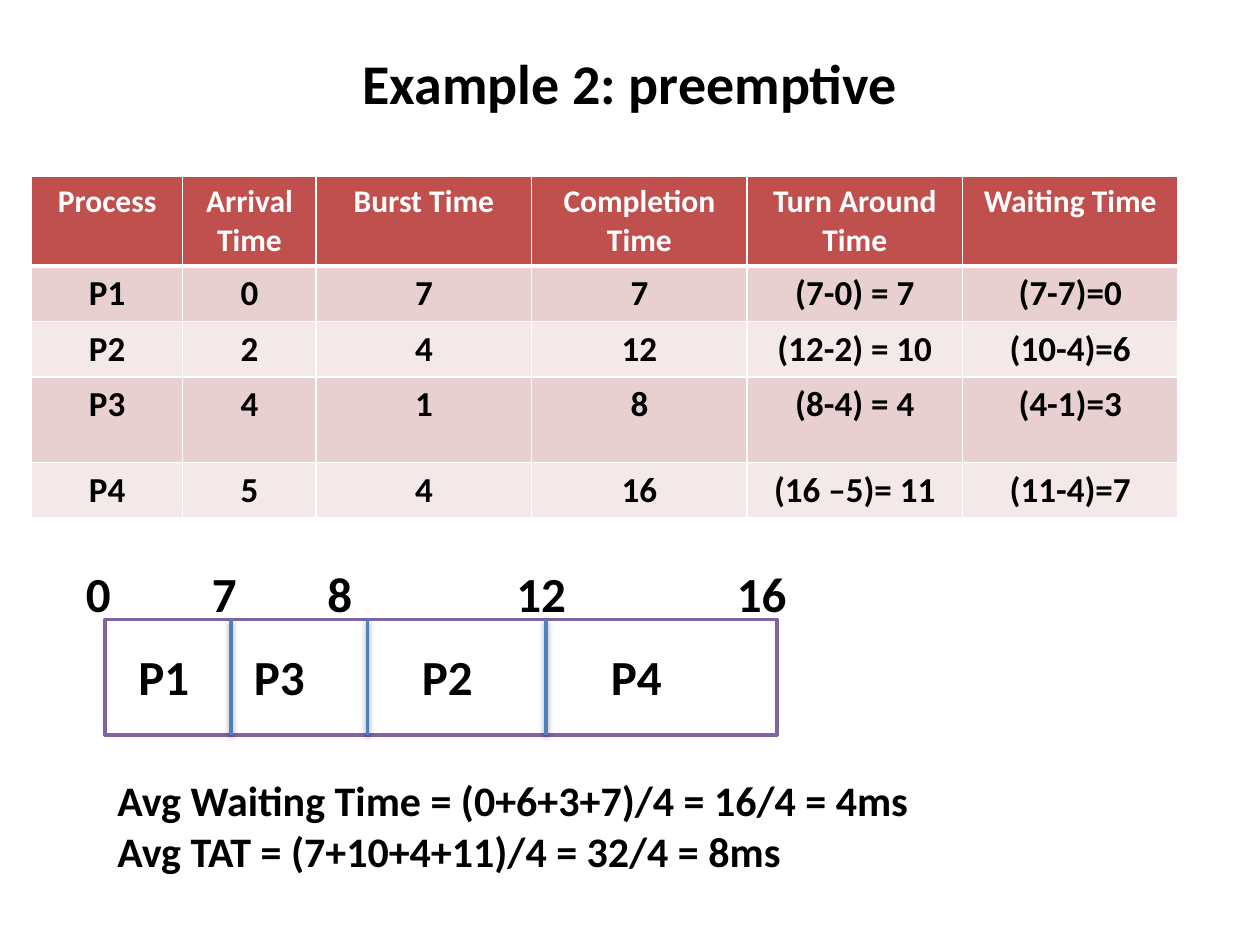
from lxml import etree
from pptx import Presentation
from pptx.dml.color import RGBColor
from pptx.enum import shapes, text
from pptx.oxml import parse_xml
from pptx.oxml.ns import nsdecls
from pptx.util import Inches, Pt

BLACK = RGBColor(0x00, 0x00, 0x00)
WHITE = RGBColor(0xFF, 0xFF, 0xFF)
RED = RGBColor(0xC0, 0x50, 0x4D)
ROSE = RGBColor(0xE8, 0xD0, 0xD0)
PALE_ROSE = RGBColor(0xF4, 0xE9, 0xE9)
PURPLE = RGBColor(0x80, 0x64, 0xA2)
BLUE = RGBColor(0x4F, 0x81, 0xBD)

SCHEDULE = [
    ["Process", "Arrival Time", "Burst Time", "Completion Time", "Turn Around Time", "Waiting Time"],
    ["P1", "0", "7", "7", "(7-0) = 7", "(7-7)=0"],
    ["P2", "2", "4", "12", "(12-2) = 10", "(10-4)=6"],
    ["P3", "4", "1", "8", "(8-4) = 4", "(4-1)=3"],
    ["P4", "5", "4", "16", "(16 –5)= 11", "(11-4)=7"],
]
AVERAGES = "Avg Waiting Time = (0+6+3+7)/4 = 16/4 = 4ms\nAvg TAT = (7+10+4+11)/4 = 32/4 = 8ms"


class Board:
    """A slide on a grid of 120 columns by 90 rows, twelve to the inch."""

    font = "Calibri"

    def __init__(self, slide):
        self.slide = slide

    @staticmethod
    def grid(*units):
        return [Inches(unit / 12) for unit in units]

    def style(self, frame, size, color=BLACK, align=None):
        for paragraph in frame.paragraphs:
            paragraph.alignment = align
            for run in paragraph.runs:
                run.font.name = self.font
                run.font.size = Pt(size)
                run.font.bold = True
                run.font.color.rgb = color

    def title(self, words, *place):
        title = self.slide.shapes.title
        title.left, title.top, title.width, title.height = self.grid(*place)
        title.text_frame.text = words
        title.text_frame.vertical_anchor = text.MSO_ANCHOR.MIDDLE
        self.style(title.text_frame, 32, align=text.PP_ALIGN.CENTER)

    def label(self, words, size, *place, parent=None):
        box = (parent or self.slide).shapes.add_textbox(*self.grid(*place))
        frame = box.text_frame
        frame.word_wrap = True
        frame.auto_size = text.MSO_AUTO_SIZE.SHAPE_TO_FIT_TEXT
        frame.text = words
        self.style(frame, size)

    def borders(self, cell, bottom):
        for side, points in zip("LRTB", (1, 1, 1, bottom)):
            cell._tc.get_or_add_tcPr().append(parse_xml(
                f'<a:ln{side} {nsdecls("a")} w="{Pt(points)}"><a:solidFill>'
                f'<a:srgbClr val="{WHITE}"/></a:solidFill></a:ln{side}>'))

    def table(self, rows, widths, heights, *place):
        holder = self.slide.shapes.add_table(len(rows), len(widths), *self.grid(*place))
        table = holder.table
        for column, width in zip(table.columns, widths):
            column.width = Inches(width)
        for row, height in zip(table.rows, heights):
            row.height = Inches(height)
        for r, row in enumerate(rows):
            header = r == 0
            for c, words in enumerate(row):
                cell = table.cell(r, c)
                cell.text_frame.text = words
                self.style(cell.text_frame, 18 if header else 20,
                           WHITE if header else BLACK, text.PP_ALIGN.CENTER)
                self.borders(cell, 3 if header else 1)
                cell.fill.solid()
                cell.fill.fore_color.rgb = RED if header else (PALE_ROSE, ROSE)[r % 2]

    def bar(self, parent, *place):
        bar = parent.shapes.add_shape(shapes.MSO_SHAPE.RECTANGLE, *self.grid(*place))
        bar.shadow.inherit = False
        bar.fill.solid()
        bar.fill.fore_color.rgb = WHITE
        bar.line.color.rgb = PURPLE
        bar.line.width = Pt(2)

    def divider(self, parent, column, top, bottom):
        divider = parent.shapes.add_connector(
            shapes.MSO_CONNECTOR.STRAIGHT, *self.grid(column, top, column, bottom))
        divider.line.color.rgb = BLUE
        divider.line.width = Pt(2)
        divider._element.spPr.append(etree.fromstring(
            f'<a:effectLst {nsdecls("a")}><a:outerShdw blurRad="{Pt(3.1)}" dist="{Pt(1.6)}" '
            f'dir="5400000" rotWithShape="0"><a:srgbClr val="{BLACK}"><a:alpha val="38000"/>'
            '</a:srgbClr></a:outerShdw></a:effectLst>'))


def main():
    deck = Presentation()
    deck.slide_width, deck.slide_height = Inches(10), Inches(7.5)
    board = Board(deck.slides.add_slide(deck.slide_layouts[5]))
    board.title("Example 2: preemptive", 6, 3.6, 108, 8.4)

    # Schedule of the processes
    board.table(SCHEDULE, [1.2, 1.06] + [1.71] * 4, [0.41, 0.41, 0.41, 0.68, 0.41],
                3, 16.8, 109, 32)

    # Averages
    board.label(AVERAGES, 24, 10, 73.2, 99, 15.7)

    # Gantt chart: bar, dividers, processes and times
    gantt = board.slide.shapes.add_group_shape()
    board.bar(gantt, 10, 59, 64, 11)
    for column in (22, 35, 52):
        board.divider(gantt, column, 59, 70)
    for process, column in (("P1", 12), ("P3", 23), ("P2", 39), ("P4", 57)):
        board.label(process, 28, column, 61, 8, 6.85, parent=gantt)
    for time, column, width in (("0", 7, 5), ("7", 19, 5), ("8", 30, 5), ("12", 48, 9), ("16", 69, 10)):
        board.label(time, 28, column, 53.1, width, 6.85, parent=gantt)

    deck.save("out.pptx")


if __name__ == "__main__":
    main()
